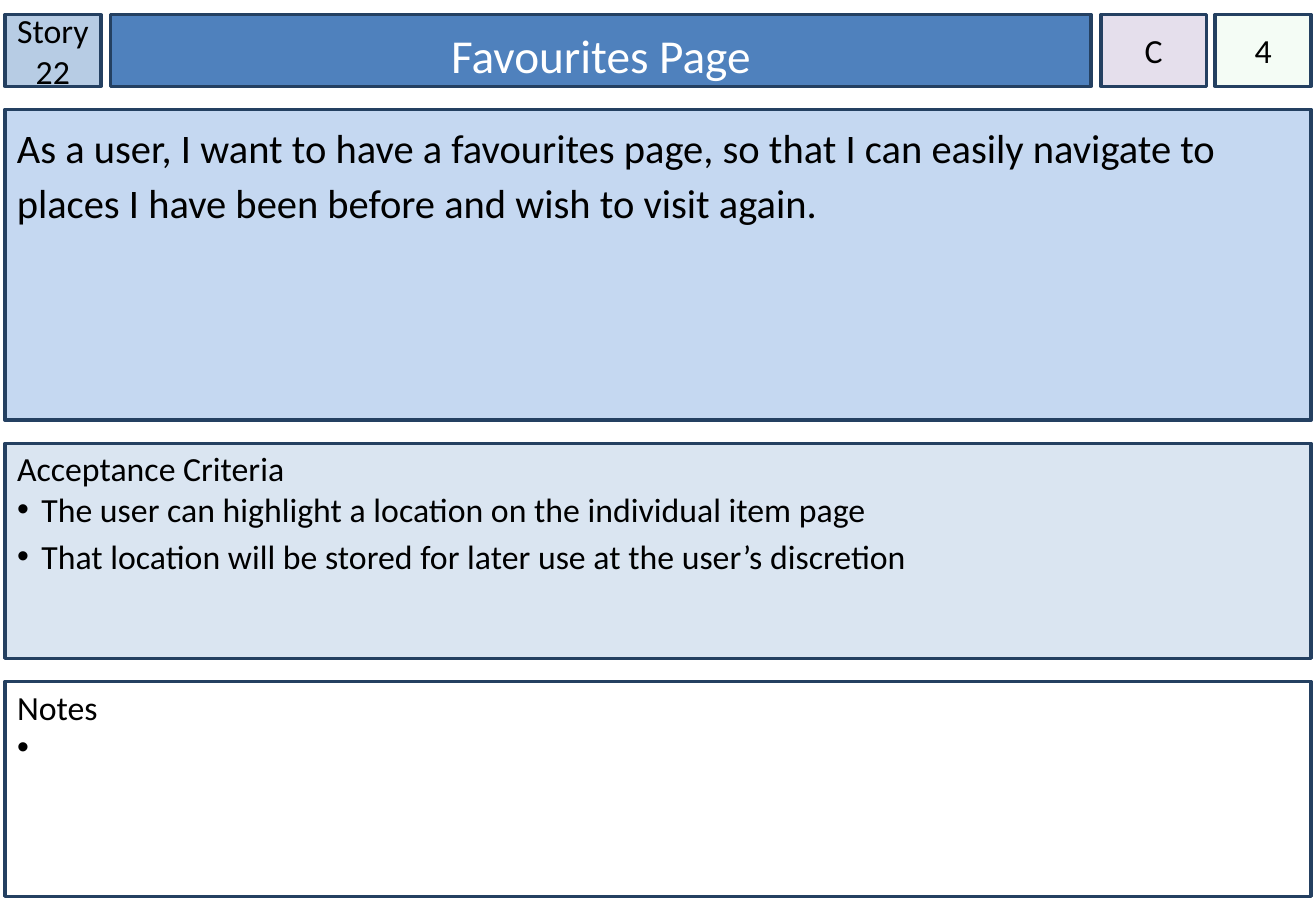
from pptx import Presentation
from pptx.dml.color import RGBColor
from pptx.enum.shapes import MSO_SHAPE
from pptx.enum.text import MSO_ANCHOR, MSO_AUTO_SIZE, PP_ALIGN
from pptx.oxml.ns import qn
from pptx.util import Emu, Pt
from lxml.etree import SubElement

PX = 9144  # 100 px to the inch
COLOURS = {
    "border": "244061", "text": "000000", "title text": "FFFFFF",
    "number": "B7CCE4", "title": "4F81BD", "priority": "E5DFEC",
    "estimate": "CCF0CD", "story": "C5D8F1", "criteria": "DAE5F1",
    "notes": "FFFFFF",
}
LEFT, WIDTH = 4, 1075
TOP, HEADER_HEIGHT = 12, 59
LIST_HEIGHT = 177


def style_box(box, name, left, top, width, height, side=10, inset_top=5, anchor=MSO_ANCHOR.TOP):
    box.left, box.top = Emu(left * PX), Emu(top * PX)
    box.width, box.height = Emu(width * PX), Emu(height * PX)
    box.fill.solid()
    box.fill.fore_color.rgb = RGBColor.from_string(COLOURS[name])
    box.line.color.rgb = RGBColor.from_string(COLOURS["border"])
    box.line.width = Pt(2)
    frame = box.text_frame
    frame.word_wrap = True
    frame.auto_size = MSO_AUTO_SIZE.NONE
    frame.vertical_anchor = anchor
    frame.margin_left = frame.margin_right = Emu(side * PX)
    frame.margin_top, frame.margin_bottom = Emu(inset_top * PX), Emu(5 * PX)


def style_text(para, size, colour="text", align=PP_ALIGN.LEFT, spacing=1.0):
    para.alignment = align
    para.line_spacing = spacing
    para.space_before = Pt(0)
    para.font.name = "Calibri"
    para.font.size = Pt(size)
    para.font.color.rgb = RGBColor.from_string(COLOURS[colour])


deck = Presentation()
deck.slide_width, deck.slide_height = Emu(1083 * PX), Emu(750 * PX)
page = deck.slides.add_slide(deck.slide_layouts.get_by_name("Two Content"))
title, criteria, notes = page.placeholders

# Title bar
title.text_frame.text = "Favourites Page"
style_box(title, "title", 91, TOP, 807, HEADER_HEIGHT, anchor=MSO_ANCHOR.MIDDLE)
style_text(title.text_frame.paragraphs[0], 28, "title text", PP_ALIGN.CENTER, 1.15)

# Small header boxes: story number, priority and estimate
for name, text, left, width in [
    ("number", "Story 22", LEFT, 79),
    ("priority", "C", 906, 87),
    ("estimate", "4", 1000, 79),
]:
    box = page.shapes.add_shape(MSO_SHAPE.RECTANGLE, 0, 0, 0, 0)
    box.shadow.inherit = False
    box.text_frame.text = text
    style_box(box, name, left, TOP, width, HEADER_HEIGHT, side=0, anchor=MSO_ANCHOR.MIDDLE)
    style_text(box.text_frame.paragraphs[0], 20, align=PP_ALIGN.CENTER)
    if name == "estimate":
        tint = box.fill._xPr.find(".//" + qn("a:srgbClr"))
        SubElement(tint, qn("a:alpha"), val="20000")

# User story
story = page.shapes.add_shape(MSO_SHAPE.RECTANGLE, 0, 0, 0, 0)
story.shadow.inherit = False
story.text_frame.text = (
    "As a user, I want to have a favourites page, so that I can easily "
    "navigate to places I have been before and wish to visit again."
)
style_box(story, "story", LEFT, 90, WIDTH, 256)
style_text(story.text_frame.paragraphs[0], 24, spacing=1.15)

# Acceptance criteria and notes: a heading followed by bullets
for box, name, top, lines in [
    (criteria, "criteria", 365, [
        ("Acceptance Criteria", 1.0),
        ("The user can highlight a location on the individual item page", 1.0),
        ("That location will be stored for later use at the user’s discretion", 1.15),
    ]),
    (notes, "notes", 561, [("Notes", 1.0), (" ", 1.0)]),
]:
    style_box(box, name, LEFT, top, WIDTH, LIST_HEIGHT, inset_top=4)
    box.text_frame.text = "\n".join(text for text, spacing in lines)
    for number, (para, (text, spacing)) in enumerate(zip(box.text_frame.paragraphs, lines)):
        properties = para._p.get_or_add_pPr()
        indent = 20 * PX if number else 0
        properties.set("marL", str(indent))
        properties.set("indent", str(-indent))
        if number:
            bullet_colour = SubElement(properties, qn("a:buClr"))
            SubElement(bullet_colour, qn("a:srgbClr"), val=COLOURS["text"])
            SubElement(properties, qn("a:buChar"), char="•")
        else:
            SubElement(properties, qn("a:buNone"))
        style_text(para, 20, spacing=spacing)

deck.save("out.pptx")
